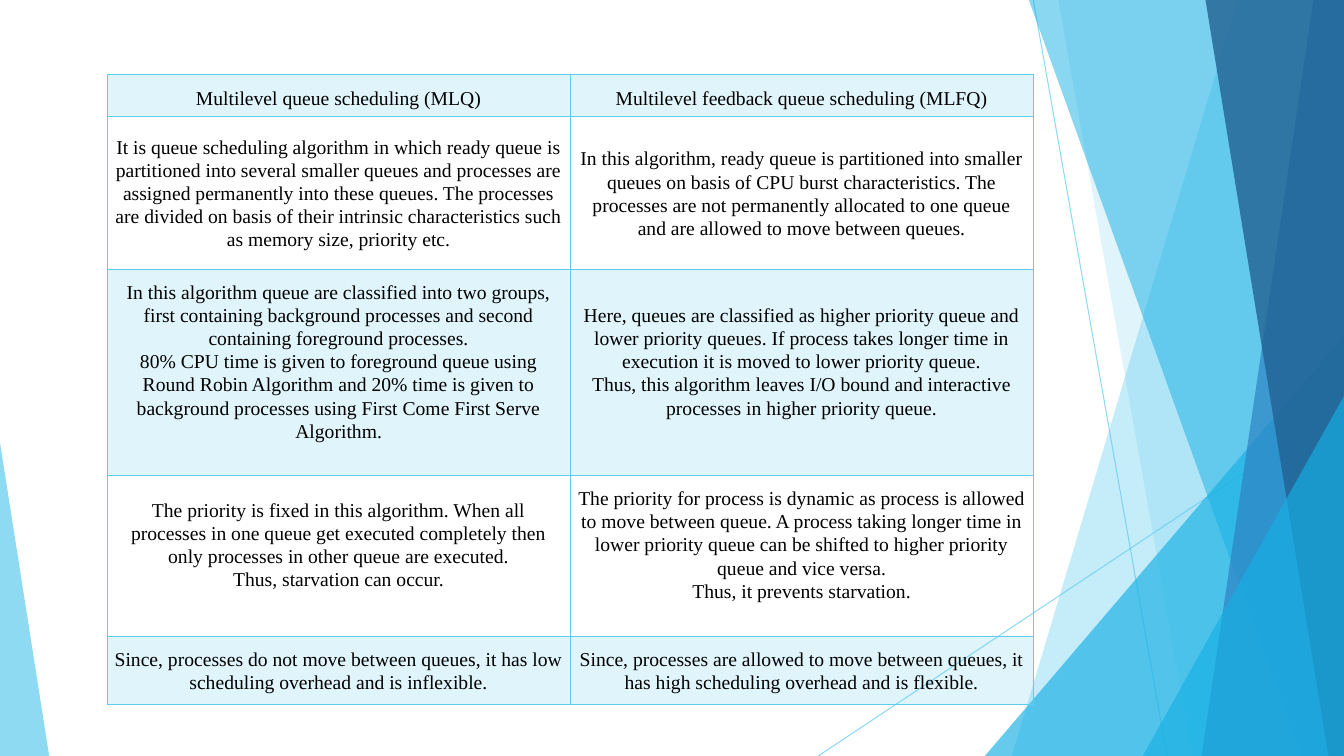
import copy
from dataclasses import dataclass

import lxml.etree
import pptx
import pptx.dml.color
import pptx.enum.shapes
import pptx.enum.text
import pptx.oxml.ns
import pptx.util

Cm = pptx.util.Cm
Pt = pptx.util.Pt
RGBColor = pptx.dml.color.RGBColor
Anchor = pptx.enum.text.MSO_ANCHOR
qn = pptx.oxml.ns.qn

SKY = RGBColor(0x5F, 0xCB, 0xEF)
CYAN = RGBColor(0x17, 0xB0, 0xE4)
BLUE = RGBColor(0x2E, 0x83, 0xC3)
NAVY = RGBColor(0x22, 0x62, 0x92)
BLACK = RGBColor(0, 0, 0)
WIDE, HIGH = 33.87, 19.05


@dataclass
class Ray:
    """Thin line between two points."""
    x1: float
    y1: float
    x2: float
    y2: float


@dataclass
class Band:
    """Slanted left edge, filled to the right side of the slide."""
    top: float
    base: float
    color: RGBColor
    alpha: int


@dataclass
class Wedge:
    """Right triangle standing on the bottom edge."""
    left: float
    top: float
    width: float
    peak: float
    color: RGBColor
    alpha: int


@dataclass
class Row:
    """Table row; gap is the extra space below its text."""
    height: float
    left: str
    right: str
    gap: float = 0


RAYS = [Ray(26.04, 0, 29.41, HIGH), Ray(WIDE, 10.24, 20.62, HIGH)]
FACETS = [
    Band(31.19, 25.5, SKY, 36),
    Band(26.67, 30.05, SKY, 20),
    Wedge(24.82, 8.46, 9.05, 1, CYAN, 66),
    Band(25.93, 32.79, CYAN, 50),
    Band(33.1, 30.28, BLUE, 70),
    Band(30.38, 33.48, NAVY, 80),
    Wedge(28.8, 9.98, 5.07, 1, CYAN, 66),
    Wedge(0, 11.15, 1.24, 0, SKY, 70),
]
ROWS = [
    Row(1.06, "Multilevel queue scheduling (MLQ)",
        "Multilevel feedback queue scheduling (MLFQ)"),
    Row(3.86,
        "It is queue scheduling algorithm in which ready queue is partitioned into "
        "several smaller queues and processes are assigned permanently into these "
        "queues. The processes are divided on basis of their intrinsic "
        "characteristics such as memory size, priority etc.",
        "In this algorithm, ready queue is partitioned into smaller queues on basis "
        "of CPU burst characteristics. The processes are not permanently allocated "
        "to one queue and are allowed to move between queues."),
    Row(5.19,
        "In this algorithm queue are classified into two groups, first containing "
        "background processes and second containing foreground processes.\n"
        "80% CPU time is given to foreground queue using Round Robin Algorithm and "
        "20% time is given to background processes using First Come First Serve "
        "Algorithm.",
        "Here, queues are classified as higher priority queue and lower priority "
        "queues. If process takes longer time in execution it is moved to lower "
        "priority queue.\n"
        "Thus, this algorithm leaves I/O bound and interactive processes in higher "
        "priority queue.", 0.58),
    Row(4.04,
        "The priority is fixed in this algorithm. When all processes in one queue "
        "get executed completely then only processes in other queue are executed.\n"
        "Thus, starvation can occur.",
        "The priority for process is dynamic as process is allowed to move between "
        "queue. A process taking longer time in lower priority queue can be shifted "
        "to higher priority queue and vice versa.\n"
        "Thus, it prevents starvation.", 0.58),
    Row(1.73,
        "Since, processes do not move between queues, it has low scheduling overhead "
        "and is inflexible.",
        "Since, processes are allowed to move between queues, it has high scheduling "
        "overhead and is flexible."),
]
FONT = {"name": "Times New Roman", "size": Pt(14), "bold": False}
PARA = {"alignment": pptx.enum.text.PP_ALIGN.CENTER, "line_spacing": 1.07}


def style(item: object, values: dict) -> None:
    for name, value in values.items():
        setattr(item, name, value)


def fade(node, alpha: int) -> None:
    tint = node.find(".//" + qn("a:srgbClr"))
    lxml.etree.SubElement(tint, qn("a:alpha"), val=str(alpha * 1000))


def draw_ray(shapes, ray: Ray) -> None:
    line = shapes.add_connector(pptx.enum.shapes.MSO_CONNECTOR.STRAIGHT,
                                Cm(ray.x1), Cm(ray.y1), Cm(ray.x2), Cm(ray.y2))
    line.line.color.rgb = SKY
    line.line.width = Pt(0.75)
    prop = line._element.spPr
    fade(prop, 70)
    lxml.etree.SubElement(prop, qn("a:effectLst"))


def draw_facet(shapes, facet: Band | Wedge) -> None:
    if isinstance(facet, Band):
        form = shapes.build_freeform(Cm(facet.top), 0)
        form.add_line_segments([(Cm(WIDE), 0), (Cm(WIDE), Cm(HIGH)),
                                (Cm(facet.base), Cm(HIGH))], close=True)
        shape = form.convert_to_shape()
    else:
        shape = shapes.add_shape(pptx.enum.shapes.MSO_SHAPE.ISOSCELES_TRIANGLE,
                                 Cm(facet.left), Cm(facet.top), Cm(facet.width),
                                 Cm(HIGH - facet.top))
        shape.adjustments[0] = facet.peak
    shape.shadow.inherit = False
    shape.fill.solid()
    shape.fill.fore_color.rgb = facet.color
    shape.line.fill.background()
    fade(shape._element.spPr, facet.alpha)


def fill_cell(cell, text: str, row: Row, head: bool, shade: bool) -> None:
    pad = 0.18 if head else 0.25
    style(cell, {"margin_left": Cm(0.18), "margin_right": Cm(0.18),
                 "margin_top": Cm(pad), "margin_bottom": Cm(pad + row.gap),
                 "vertical_anchor": Anchor.BOTTOM if head else Anchor.MIDDLE})
    # Text
    para = cell.text_frame.paragraphs[0]
    para.text = text
    style(para, PARA)
    for run in para.runs:
        style(run.font, FONT)
        run.font.color.rgb = BLACK
    for gap in para._p.findall(qn("a:br")):
        gap.append(copy.deepcopy(para.runs[0]._r.rPr))
    # Borders
    prop = cell._tc.get_or_add_tcPr()
    for side in "LRTB":
        edge = lxml.etree.SubElement(prop, qn("a:ln" + side), w=str(Pt(1)))
        solid = lxml.etree.SubElement(edge, qn("a:solidFill"))
        lxml.etree.SubElement(solid, qn("a:srgbClr"), val=str(SKY))
    # Fill
    if shade:
        cell.fill.solid()
        cell.fill.fore_color.rgb = SKY
        fade(prop.find(qn("a:solidFill")), 20)
    else:
        cell.fill.background()


def draw_table(shapes, rows: list[Row]) -> None:
    total = sum(row.height for row in rows)
    table = shapes.add_table(len(rows), 2, Cm(2.7), Cm(1.88),
                             Cm(23.34), Cm(total)).table
    style(table, {"first_row": False, "horz_banding": False})
    for r, row in enumerate(rows):
        table.rows[r].height = Cm(row.height)
        for c, text in enumerate((row.left, row.right)):
            fill_cell(table.cell(r, c), text, row, r == 0, r % 2 == 0)


def main() -> None:
    deck = pptx.Presentation()
    style(deck, {"slide_width": Cm(WIDE), "slide_height": Cm(HIGH)})
    shapes = deck.slides.add_slide(deck.slide_layouts[6]).shapes
    # Backdrop
    for ray in RAYS:
        draw_ray(shapes, ray)
    for facet in FACETS:
        draw_facet(shapes, facet)
    # Content
    draw_table(shapes, ROWS)
    deck.save("out.pptx")


if __name__ == "__main__":
    main()
